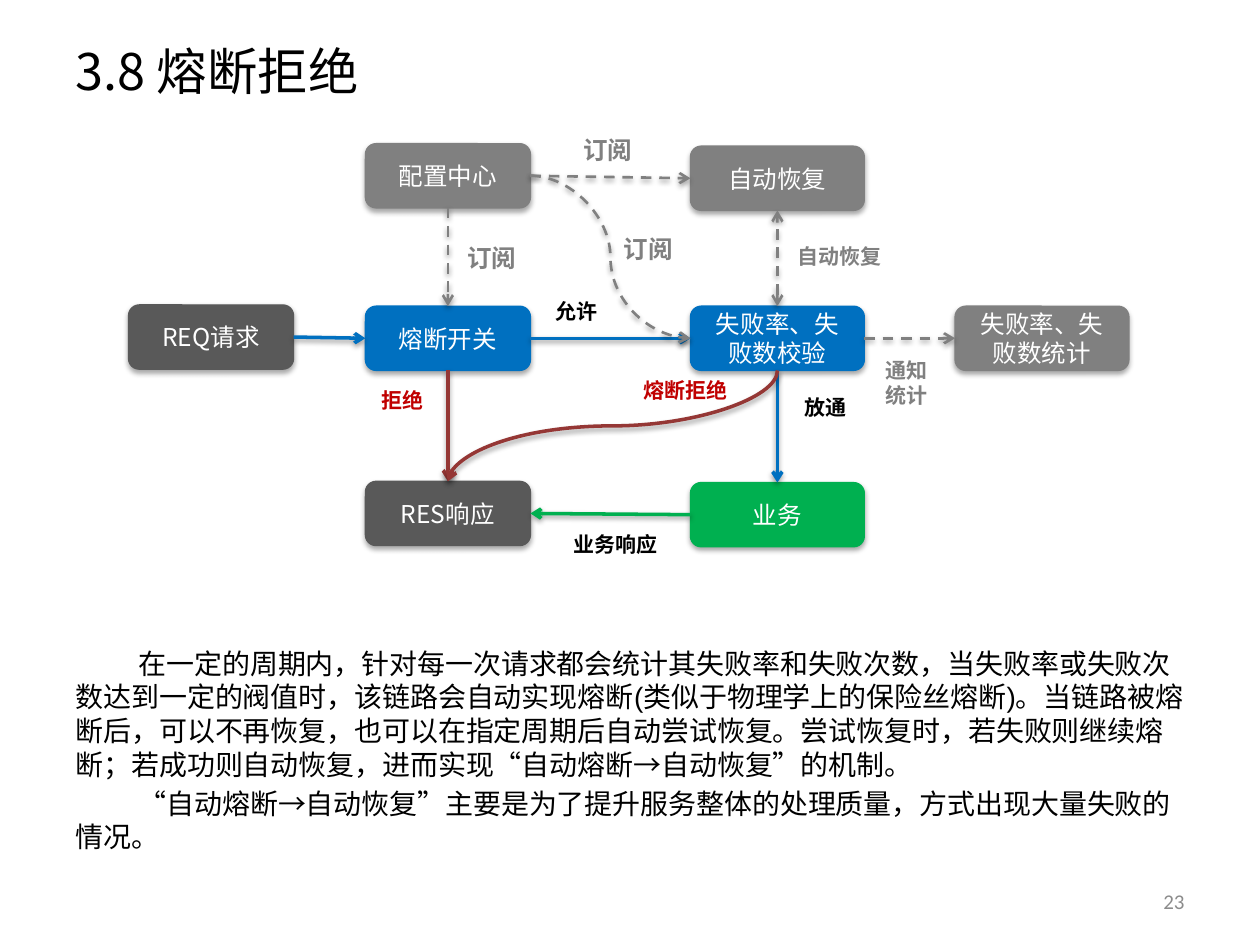
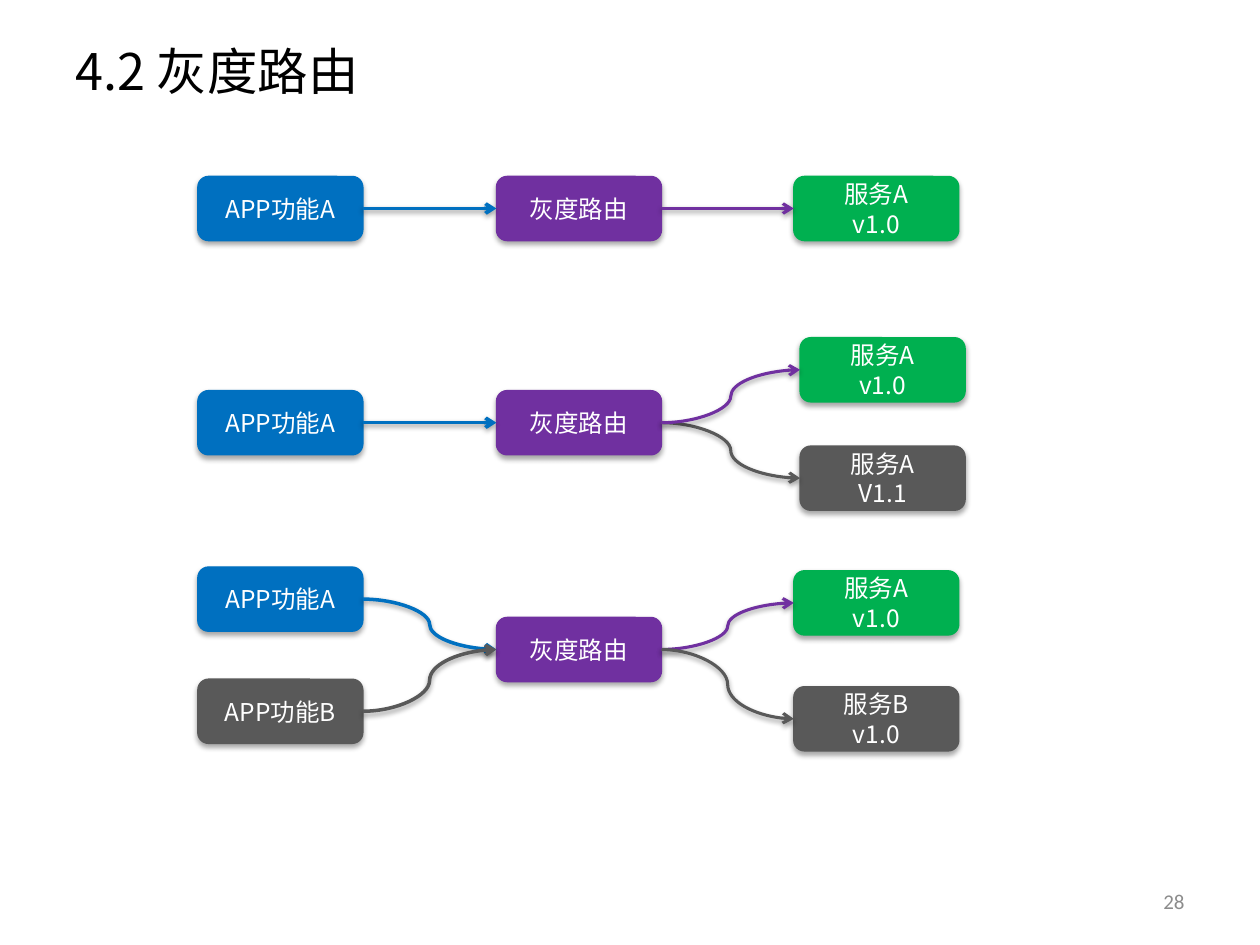
"""Build two slides on circuit breaking and grey routing."""
from lxml.etree import SubElement
from pptx import Presentation
from pptx.dml.color import RGBColor
from pptx.enum.dml import MSO_LINE_DASH_STYLE as Dash
from pptx.enum.shapes import MSO_CONNECTOR as Connector, MSO_SHAPE as Shape
from pptx.enum.text import MSO_ANCHOR as Anchor, MSO_AUTO_SIZE as AutoSize, PP_ALIGN as Align
from pptx.oxml.ns import qn
from pptx.util import Inches, Pt

FONT = "Noto Sans CJK SC"
BLUE, GREEN, PURPLE = "0070C0", "00B050", "7030A0"
DARK, GREY, BROWN = "595959", "808080", "953735"
RED, BLACK, WHITE = "C00000", "000000", "FFFFFF"
NUMBER_GREY = "8C8C8C"
BOX_WIDTH, WIDE_BOX, BOX_HEIGHT = 1.31, 1.38, 0.51
TOP, LEFT, BOTTOM, RIGHT = range(4)


def color(hex_string):
    """Turn a hex string into a colour."""
    return RGBColor.from_string(hex_string)


def add_run(paragraph, text, size, fill, name=FONT, bold=False):
    """Add one formatted run to a paragraph."""
    run = paragraph.add_run()
    run.text = text
    font = run.font
    font.size, font.bold, font.name = Pt(size), bold, name
    font.color.rgb = color(fill)
    SubElement(font._element, qn("a:ea"), typeface=FONT)


def add_lines(frame, lines, size, fill, align=Align.LEFT, name=FONT, bold=False):
    """Fill a text frame with one paragraph per line."""
    for index, line in enumerate(lines):
        paragraph = frame.add_paragraph() if index else frame.paragraphs[0]
        paragraph.alignment = align
        add_run(paragraph, line, size, fill, name, bold)


def place(shape, left, top, width, height):
    """Move and size a shape in inches."""
    shape.left, shape.top = Inches(left), Inches(top)
    shape.width, shape.height = Inches(width), Inches(height)


def add_shadow(shape, distance, opacity):
    """Give a finished shape or connector a soft shadow below it."""
    effects = SubElement(shape.element.spPr, qn("a:effectLst"))
    shadow = SubElement(effects, qn("a:outerShdw"), blurRad=str(Pt(3.1)),
                        dist=str(Pt(distance)), dir="5400000", rotWithShape="0")
    shadow_color = SubElement(shadow, qn("a:srgbClr"), val=BLACK)
    SubElement(shadow_color, qn("a:alpha"), val=str(opacity * 1000))


def add_slide(presentation, layout, title, number):
    """Add a slide with its title and page number."""
    slide = presentation.slides.add_slide(presentation.slide_layouts[layout])
    place(slide.shapes.title, 0.5, 0.3, 9, 0.51)
    frame = slide.shapes.title.text_frame
    frame.auto_size, frame.vertical_anchor = AutoSize.NONE, Anchor.MIDDLE
    add_lines(frame, [title], 28.8, BLACK)
    page = slide.shapes.add_textbox(Inches(7.17), Inches(6.95), Inches(2.33), Inches(0.4))
    page.text_frame.word_wrap = True
    page.text_frame.vertical_anchor = Anchor.MIDDLE
    add_lines(page.text_frame, [number], 12, NUMBER_GREY, Align.RIGHT, "Calibri")
    return slide


def add_box(slide, text, left, top, fill, width=BOX_WIDTH):
    """Add a rounded box with centred white text."""
    box = slide.shapes.add_shape(Shape.ROUNDED_RECTANGLE, Inches(left), Inches(top),
                                 Inches(width), Inches(BOX_HEIGHT))
    box.fill.solid()
    box.fill.fore_color.rgb = color(fill)
    box.line.color.rgb = color(fill)
    box.line.width = Pt(0.75)
    add_shadow(box, 1.8, 35)
    box.text_frame.word_wrap = True
    add_lines(box.text_frame, text.split("\n"), 14, WHITE, Align.CENTER)
    return box


def add_label(slide, text, left, top, width, fill, size=12, height=0.3):
    """Add a bold label beside an arrow."""
    label = slide.shapes.add_textbox(Inches(left), Inches(top), Inches(width), Inches(height))
    label.text_frame.word_wrap = False
    label.text_frame.auto_size = AutoSize.SHAPE_TO_FIT_TEXT
    add_lines(label.text_frame, text.split("\n"), size, fill, bold=True)


def turn_curve(connector):
    """Turn a curve that runs down to the left so that its ends are vertical."""
    middle_x = (connector.begin_x + connector.end_x) // 2
    middle_y = (connector.begin_y + connector.end_y) // 2
    width, height = connector.height, connector.width
    transform = connector.element.spPr.find(qn("a:xfrm"))
    transform.attrib.pop("flipH", None)
    transform.set("rot", "5400000")
    connector.left, connector.top = middle_x - width // 2, middle_y - height // 2
    connector.width, connector.height = width, height


def add_arrow(slide, start, start_side, end, end_side, fill, width=2.0,
              kind=Connector.STRAIGHT, dashed=False, both=False):
    """Join two boxes with an arrow."""
    connector = slide.shapes.add_connector(kind, 0, 0, 0, 0)
    connector.begin_connect(start, start_side)
    connector.end_connect(end, end_side)
    if kind == Connector.CURVE and start_side == BOTTOM:
        turn_curve(connector)
    line = connector.line
    line.color.rgb = color(fill)
    line.width = Pt(width)
    if dashed:
        line.dash_style = Dash.DASH
    line_element = connector.element.spPr.find(qn("a:ln"))
    for tag in ("a:headEnd", "a:tailEnd") if both else ("a:tailEnd",):
        SubElement(line_element, qn(tag), type="arrow")
    add_shadow(connector, 1.6, 38)


def add_body(slide, paragraphs):
    """Fill the body placeholder with indented paragraphs."""
    body = slide.placeholders[1]
    place(body, 0.5, 5.08, 9, 1.68)
    body.text_frame.auto_size = AutoSize.NONE
    add_lines(body.text_frame, paragraphs, 16, BLACK, name="Arial")
    for paragraph in body.text_frame.paragraphs:
        properties = paragraph._p.get_or_add_pPr()
        properties.set("marL", "0")
        properties.set("indent", str(Inches(0.5)))
        SubElement(properties, qn("a:buNone"))


def build_breaker(presentation):
    """Build the circuit breaking slide."""
    slide = add_slide(presentation, 1, "3.8 熔断拒绝", "23")
    config = add_box(slide, "配置中心", 2.9, 1.14, GREY)
    recovery = add_box(slide, "自动恢复", 5.48, 1.16, GREY, WIDE_BOX)
    request = add_box(slide, "REQ请求", 1.02, 2.42, DARK)
    switch = add_box(slide, "熔断开关", 2.9, 2.43, BLUE)
    check = add_box(slide, "失败率、失败数校验", 5.48, 2.43, BLUE, WIDE_BOX)
    statistics = add_box(slide, "失败率、失败数统计", 7.58, 2.43, GREY, WIDE_BOX)
    response = add_box(slide, "RES响应", 2.9, 3.82, DARK)
    business = add_box(slide, "业务", 5.48, 3.83, GREEN, WIDE_BOX)

    add_arrow(slide, request, RIGHT, switch, LEFT, BLUE)
    add_arrow(slide, switch, RIGHT, check, LEFT, BLUE)
    add_arrow(slide, check, BOTTOM, business, TOP, BLUE)
    add_arrow(slide, business, LEFT, response, RIGHT, GREEN)
    add_arrow(slide, switch, BOTTOM, response, TOP, BROWN)
    add_arrow(slide, check, BOTTOM, response, TOP, BROWN, kind=Connector.CURVE)
    add_arrow(slide, config, BOTTOM, switch, TOP, GREY, 1.5, dashed=True)
    add_arrow(slide, config, RIGHT, recovery, LEFT, GREY, 1.5, dashed=True)
    add_arrow(slide, config, RIGHT, check, LEFT, GREY, 1.5, Connector.CURVE, dashed=True)
    add_arrow(slide, check, RIGHT, statistics, LEFT, GREY, 1.5, dashed=True)
    add_arrow(slide, check, TOP, recovery, BOTTOM, GREY, 1.5, dashed=True, both=True)

    for left, top in ((4.53, 1.02), (3.61, 1.88), (4.85, 1.81)):
        add_label(slide, "订阅", left, top, 0.59, GREY, 14, 0.34)
    add_label(slide, "自动恢复", 6.23, 1.88, 0.88, GREY)
    add_label(slide, "允许", 4.31, 2.32, 0.54, BLACK)
    add_label(slide, "通知\n统计", 6.93, 2.79, 0.54, GREY, height=0.5)
    add_label(slide, "拒绝", 2.93, 3.03, 0.54, RED)
    add_label(slide, "熔断拒绝", 5.01, 2.95, 0.88, RED)
    add_label(slide, "放通", 6.29, 3.08, 0.54, BLACK)
    add_label(slide, "业务响应", 4.45, 4.17, 0.88, BLACK)

    add_body(slide, [
        "在一定的周期内，针对每一次请求都会统计其失败率和失败次数，当失败率或失败次数达到"
        "一定的阀值时，该链路会自动实现熔断(类似于物理学上的保险丝熔断)。当链路被熔断后，"
        "可以不再恢复，也可以在指定周期后自动尝试恢复。尝试恢复时，若失败则继续熔断；"
        "若成功则自动恢复，进而实现“自动熔断→自动恢复”的机制。",
        "“自动熔断→自动恢复”主要是为了提升服务整体的处理质量，方式出现大量失败的情况。",
    ])


def add_route(slide, router_top, apps, services, service_left=6.3):
    """Add a router with the apps on its left and the services on its right."""
    router = add_box(slide, "灰度路由", 3.94, router_top, PURPLE)
    for text, top, fill in apps:
        app = add_box(slide, text, 1.57, top, fill)
        kind = Connector.STRAIGHT if top == router_top else Connector.CURVE
        add_arrow(slide, app, RIGHT, router, LEFT, fill, kind=kind)
    for text, top, fill, line_fill in services:
        service = add_box(slide, text, service_left, top, fill)
        kind = Connector.STRAIGHT if top == router_top else Connector.CURVE
        add_arrow(slide, router, RIGHT, service, LEFT, line_fill, 1.75, kind)


def build_routing(presentation):
    """Build the grey routing slide."""
    slide = add_slide(presentation, 5, "4.2 灰度路由", "28")
    app, service = "APP功能A", "服务A\nv1.0"
    add_route(slide, 1.4, [(app, 1.4, BLUE)], [(service, 1.4, GREEN, PURPLE)])
    add_route(slide, 3.1, [(app, 3.1, BLUE)],
              [("服务A\nV1.1", 3.54, DARK, DARK), (service, 2.68, GREEN, PURPLE)], 6.35)
    add_route(slide, 4.9, [(app, 4.5, BLUE), ("APP功能B", 5.39, DARK)],
              [(service, 4.53, GREEN, PURPLE), ("服务B\nv1.0", 5.45, DARK, DARK)])


def main():
    """Build and save the presentation."""
    presentation = Presentation()
    presentation.slide_width, presentation.slide_height = Inches(10), Inches(7.5)
    build_breaker(presentation)
    build_routing(presentation)
    presentation.save("out.pptx")


if __name__ == "__main__":
    main()
